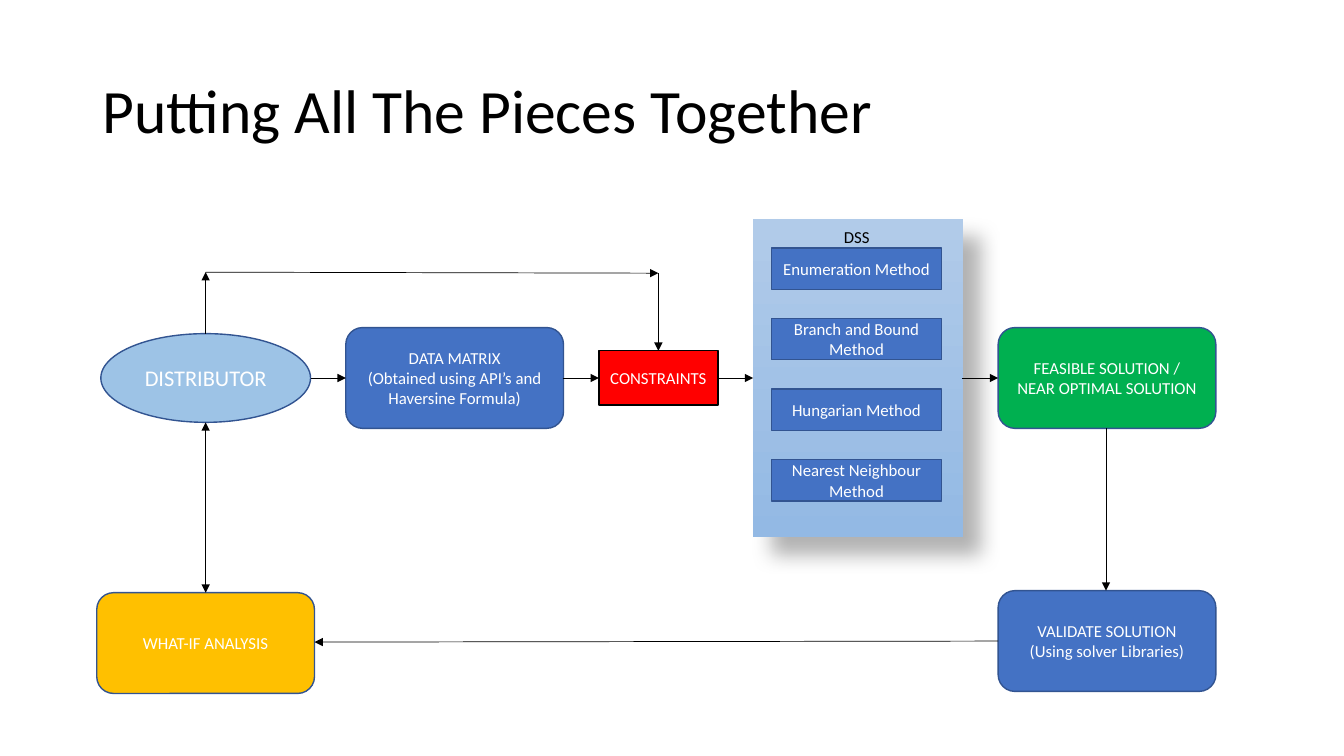
"""Build the slide that links distributor, constraints, DSS and solution."""
from lxml import etree
from pptx import Presentation, util as u
from pptx.dml.color import RGBColor
from pptx.enum import shapes, text
from pptx.oxml import parse_xml
from pptx.oxml.ns import nsdecls, qn

PX = 9144
THEME = {
    "font": "Calibri",
    "title": 44, "actor": 16, "label": 12,
    "black": "000000", "white": "FFFFFF", "edge": "325491",
    "blue": "4472C4", "sky": "9DC3E6", "green": "00B050",
    "red": "FF0000", "amber": "FFC000",
    "panel_top": "B1CBE9", "panel_foot": "93B9E4",
}
RECT = shapes.MSO_SHAPE.RECTANGLE
ROUND = shapes.MSO_SHAPE.ROUNDED_RECTANGLE
OVAL = shapes.MSO_SHAPE.OVAL


def colour(name):
    return RGBColor.from_string(THEME[name])


def write(shape, words, size, ink, align):
    frame = shape.text_frame
    frame.word_wrap = True
    frame.text = words
    for paragraph in frame.paragraphs:
        paragraph.alignment = align
        for run in paragraph.runs:
            run.font.name = THEME["font"]
            run.font.size = u.Pt(THEME[size])
            run.font.color.rgb = colour(ink)


deck = Presentation()
deck.slide_width, deck.slide_height = 1333 * PX, 750 * PX
slide = deck.slides.add_slide(deck.slide_layouts[6])

title = slide.shapes.add_textbox(92 * PX, 40 * PX, 1150 * PX, 145 * PX)
write(title, "Putting All The Pieces Together", "title", "black", text.PP_ALIGN.LEFT)
title.text_frame.vertical_anchor = text.MSO_ANCHOR.MIDDLE
title.text_frame.paragraphs[0].line_spacing = 0.9

dss_panel = slide.shapes.add_shape(RECT, 747 * PX, 217 * PX, 208 * PX, 316 * PX)
dss_panel.line.fill.background()
dss_panel.fill.gradient()
dss_panel.fill.gradient_angle = 270
for stop, shade in zip(dss_panel.fill.gradient_stops, ("panel_top", "panel_foot")):
    stop.color.rgb = colour(shade)
dss_panel._element.spPr.append(parse_xml(
    f'<a:effectLst {nsdecls("a")}><a:outerShdw blurRad="{u.Pt(15)}" dist="{u.Pt(18)}" '
    f'dir="2700000" algn="tl" rotWithShape="0"><a:srgbClr val="{THEME["black"]}">'
    '<a:alpha val="30000"/></a:srgbClr></a:outerShdw></a:effectLst>'))

methods = ["Enumeration Method", "Branch and Bound Method",
           "Hungarian Method", "Nearest Neighbour Method"]
steps = [(RECT, 765, 246 + 70 * row, 169, 41, "blue", "edge", "label", method)
         for row, method in enumerate(methods)]
steps += [
    (ROUND, 343, 325, 216, 100, "blue", "edge", "label",
     "DATA MATRIX\n(Obtained using API’s and Haversine Formula)"),
    (ROUND, 990, 325, 216, 100, "green", "edge", "label",
     "FEASIBLE SOLUTION / NEAR OPTIMAL SOLUTION"),
    (OVAL, 100, 331, 208, 88, "sky", "edge", "actor", "DISTRIBUTOR"),
    (RECT, 594, 348, 118, 54, "red", "black", "label", "CONSTRAINTS"),
    (ROUND, 96, 588, 216, 100, "amber", "edge", "label", "WHAT-IF ANALYSIS"),
    (ROUND, 990, 586, 216, 100, "blue", "edge", "label",
     "VALIDATE SOLUTION\n(Using solver Libraries)"),
]
for outline, left, top, width, height, fill, edge, size, words in steps:
    step = slide.shapes.add_shape(outline, left * PX, top * PX, width * PX, height * PX)
    step.shadow.inherit = False
    step.fill.solid()
    step.fill.fore_color.rgb = colour(fill)
    step.line.color.rgb = colour(edge)
    step.line.width = u.Pt(1)
    write(step, words, size, "white", text.PP_ALIGN.CENTER)

flows = [
    (308, 375, 343, 375, ["tailEnd"]),
    (558, 375, 594, 375, ["tailEnd"]),
    (712, 375, 747, 375, ["tailEnd"]),
    (954, 375, 990, 375, ["tailEnd"]),
    (1097, 425, 1097, 586, ["tailEnd"]),
    (990, 636, 312, 637, ["tailEnd"]),
    (204, 331, 204, 270, ["tailEnd"]),
    (204, 270, 653, 271, ["tailEnd"]),
    (653, 271, 653, 348, ["tailEnd"]),
    (204, 588, 204, 419, ["headEnd", "tailEnd"]),
]
for x1, y1, x2, y2, ends in flows:
    flow = slide.shapes.add_connector(
        shapes.MSO_CONNECTOR.STRAIGHT, x1 * PX, y1 * PX, x2 * PX, y2 * PX)
    flow.line.color.rgb = colour("black")
    flow.line.width = u.Pt(0.5)
    for end in ends:
        etree.SubElement(flow.line._get_or_add_ln(), qn(f"a:{end}"), type="triangle")
    etree.SubElement(flow._element.spPr, qn("a:effectLst"))

dss_label = slide.shapes.add_textbox(827 * PX, 220 * PX, 72 * PX, 30 * PX)
write(dss_label, "DSS", "label", "black", text.PP_ALIGN.LEFT)

deck.save("out.pptx")
